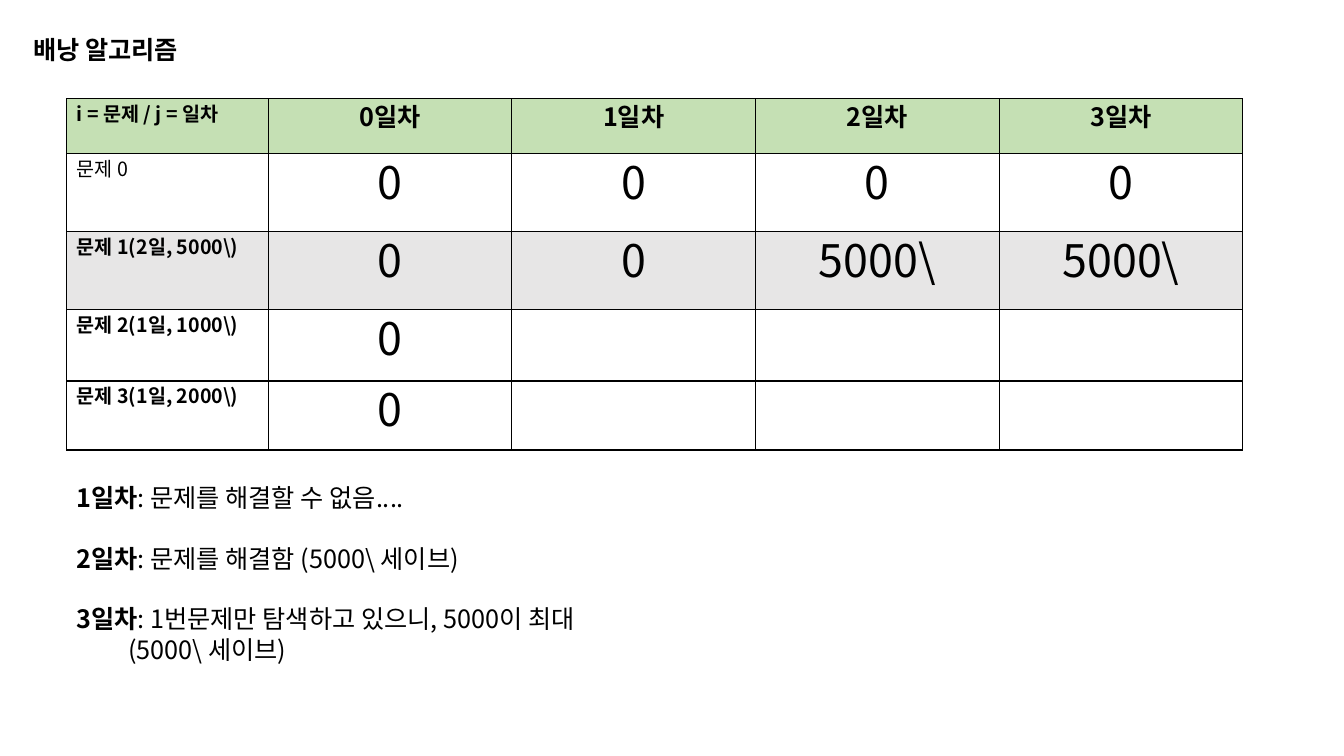
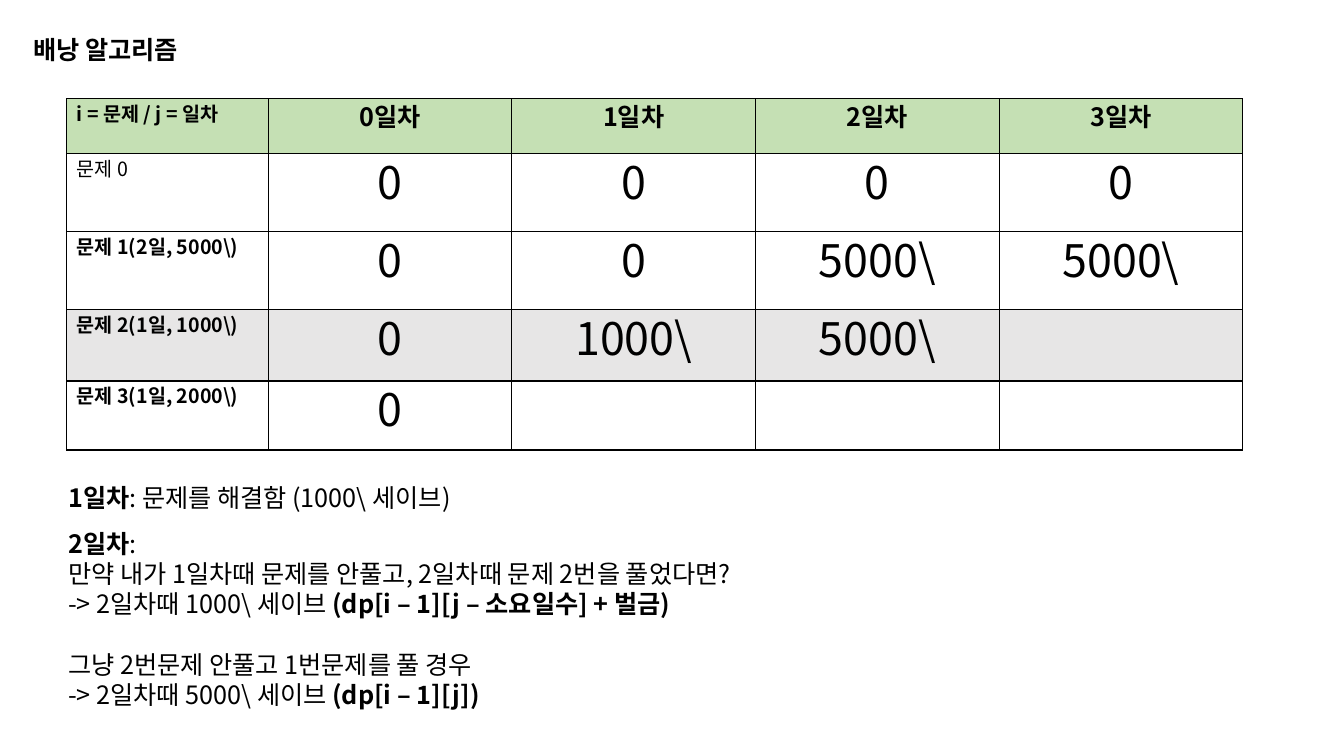
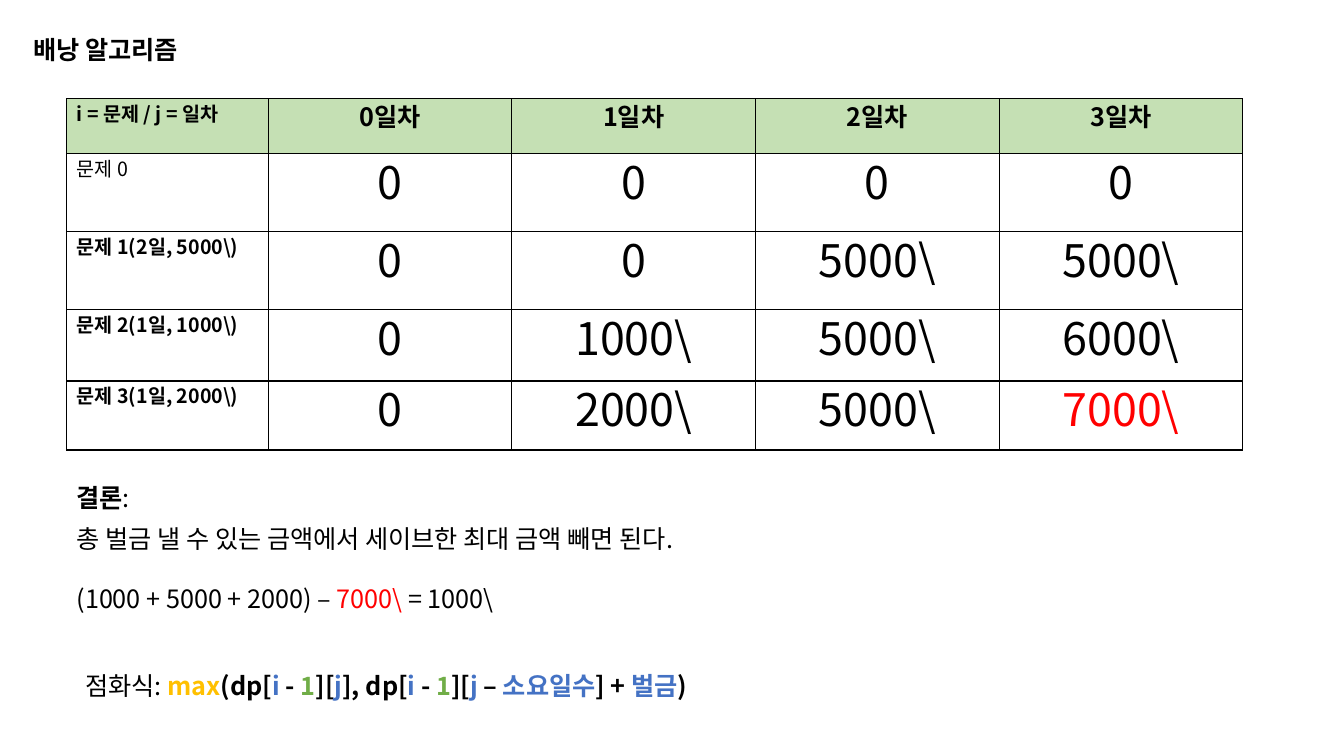
"""Build three slides that fill in a knapsack table step by step."""
from lxml import etree
from pptx import Presentation
from pptx.dml.color import RGBColor
from pptx.enum.text import MSO_ANCHOR, MSO_AUTO_SIZE, PP_ALIGN
from pptx.oxml.ns import qn
from pptx.util import Cm, Pt

LEFT, CENTER = PP_ALIGN.LEFT, PP_ALIGN.CENTER
TOP = MSO_ANCHOR.TOP
NOFIT = MSO_AUTO_SIZE.NONE

FACE = "Noto Sans CJK KR"
BLACK, WHITE, GREEN, GRAY = "000000", "FFFFFF", "C5E0B4", "E7E6E6"
RED, GOLD, BLUE, LEAF = "FF0000", "FFC000", "4472C4", "70AD47"
LINE = 1.2
GAP = 18 * LINE

TITLE = "배낭 알고리즘"
HEAD = ["i = 문제 / j = 일차", "0일차", "1일차", "2일차", "3일차"]
LABELS = ["문제 0", "문제 1(2일, 5000\\)", "문제 2(1일, 1000\\)", "문제 3(1일, 2000\\)"]
COLS = [5.08, 6.14, 6.14, 6.14, 6.14]
ROWS = [1.38, 1.97, 1.97, 1.79, 1.74]
ZEROS = ["0"] * 4
FIRST = ["0", "0", "5000\\", "5000\\"]
START = ["0", "", "", ""]


def bold(text, color=BLACK):
    """Return a bold run."""
    return text, True, color


def plain(text, color=BLACK):
    """Return a regular run."""
    return text, False, color


def para(*runs, gap=0, indent=0):
    """Return a paragraph with its space before and left indent."""
    return {"runs": runs, "gap": gap, "indent": indent}


SLIDES = [
    {
        "grid": [ZEROS, FIRST, START, START],
        "shade": 2,
        "notes": [
            ((1.68, 12.04, 10.77, 1.02), [
                para(bold("1일차"), plain(": 문제를 해결할 수 없음...."))]),
            ((1.68, 13.56, 11.68, 1.02), [
                para(bold("2일차"), plain(": 문제를 해결함 (5000\\ 세이브)"))]),
            ((1.68, 15.09, 14.53, 1.8), [
                para(bold("3일차"), plain(": 1번문제만 탐색하고 있으니, 5000이 최대")),
                para(plain("(5000\\ 세이브)"), indent=1.3)]),
        ],
    },
    {
        "grid": [ZEROS, FIRST, ["0", "1000\\", "5000\\", ""], START],
        "shade": 3,
        "notes": [
            ((1.47, 12.02, 11.89, 1.02), [
                para(bold("1일차"), plain(": 문제를 해결함 (1000\\ 세이브)"))]),
            ((1.47, 13.18, 20.98, 5.64), [
                para(bold("2일차"), plain(":")),
                para(plain("만약 내가 1일차때 문제를 안풀고, 2일차때 문제 2번을 풀었다면?")),
                para(plain("-> 2일차때 1000\\ 세이브 "),
                     bold("(dp[i – 1][j – 소요일수] + 벌금)")),
                para(plain("그냥 2번문제 안풀고 1번문제를 풀 경우"), gap=GAP),
                para(plain("-> 2일차때 5000\\ 세이브 "), bold("(dp[i – 1][j])"))]),
        ],
    },
    {
        "grid": [ZEROS, FIRST, ["0", "1000\\", "5000\\", "6000\\"],
                 ["0", "2000\\", "5000\\", "7000\\"]],
        "shade": None,
        "best": (4, 4),
        "notes": [
            ((1.68, 12.04, 10.77, 1.02), [para(bold("결론"), plain(":"))]),
            ((1.68, 13.06, 23.32, 2.57), [
                para(plain("총 벌금 낼 수 있는 금액에서 세이브한 최대 금액 빼면 된다.")),
                para(plain("(1000 + 5000 + 2000) – "), plain("7000\\ ", RED),
                     plain("= 1000\\"), gap=GAP)]),
            ((1.9, 16.76, 23.47, 1.02), [
                para(plain("점화식: "), bold("max", GOLD), bold("(dp["),
                     bold("i", BLUE), bold(" - "), bold("1", LEAF), bold("]["),
                     bold("j", BLUE), bold("], dp["), bold("i", BLUE),
                     bold(" - "), bold("1", LEAF), bold("]["), bold("j", BLUE),
                     bold(" – "), bold("소요일수", BLUE), bold("] + "),
                     bold("벌금", BLUE), bold(")"))]),
        ],
    },
]


def rgb(code):
    """Turn a hex string into a colour."""
    return RGBColor.from_string(code)


def write(frame, paras, size=18, align=LEFT):
    """Fill a text frame with formatted paragraphs."""
    for num, item in enumerate(paras):
        par = frame.add_paragraph() if num else frame.paragraphs[0]
        par.alignment = align
        par.line_spacing = Pt(size * LINE)
        par.space_before = Pt(item["gap"])
        props = par._p.get_or_add_pPr()
        if item["indent"]:
            props.set("marL", str(Cm(item["indent"])))
        runs = item["runs"]
        font = par.font
        font.size, font.name = Pt(size), FACE
        font.bold = runs[0][1]
        font.color.rgb = rgb(runs[0][2])
        east = etree.SubElement(props.find(qn("a:defRPr")), qn("a:ea"))
        east.set("typeface", FACE)
        for text, heavy, color in runs:
            run = par.add_run()
            run.text = text
            if heavy != runs[0][1]:
                run.font.bold = heavy
            if color != runs[0][2]:
                run.font.color.rgb = rgb(color)


def place(shape, box):
    """Set the position of a text shape and pin its text to the top."""
    shape.left, shape.top, shape.width, shape.height = map(Cm, box)
    frame = shape.text_frame
    frame.word_wrap = True
    frame.auto_size = NOFIT
    frame.vertical_anchor = TOP
    return frame


def border(cell):
    """Draw a thin black line on all four sides of a cell."""
    props = cell._tc.get_or_add_tcPr()
    for num, side in enumerate(("lnL", "lnR", "lnT", "lnB")):
        line = etree.Element(qn("a:" + side), w=str(Pt(1)))
        fill = etree.SubElement(line, qn("a:solidFill"))
        etree.SubElement(fill, qn("a:srgbClr"), val=BLACK)
        props.insert(num, line)


def draw(slide, data):
    """Add the knapsack table."""
    rows = [HEAD] + [[name] + vals for name, vals in zip(LABELS, data["grid"])]
    table = slide.shapes.add_table(
        len(ROWS), len(COLS), Cm(1.68), Cm(2.49), Cm(sum(COLS)), Cm(sum(ROWS))).table
    table.first_row = table.horz_banding = False
    for col, width in zip(table.columns, COLS):
        col.width = Cm(width)
    for y, (row, height) in enumerate(zip(rows, ROWS)):
        table.rows[y].height = Cm(height)
        back = GREEN if y == 0 else GRAY if y == data["shade"] else WHITE
        for x, text in enumerate(row):
            cell = table.cell(y, x)
            cell.fill.solid()
            cell.fill.fore_color.rgb = rgb(back)
            border(cell)
            if not text:
                continue
            size = 14 if x == 0 else 18 if y == 0 else 32
            heavy = y == 0 or (x == 0 and y > 1)
            color = RED if (y, x) == data.get("best") else BLACK
            write(cell.text_frame, [para((text, heavy, color))], size,
                  CENTER if x else LEFT)


def main():
    """Build and save the deck."""
    deck = Presentation()
    deck.slide_width, deck.slide_height = Cm(33.87), Cm(19.05)
    for data in SLIDES:
        slide = deck.slides.add_slide(deck.slide_layouts[5])
        write(place(slide.shapes.title, (0.58, 0.74, 4.78, 1.02)), [para(bold(TITLE))])
        draw(slide, data)
        for box, paras in data["notes"]:
            note = slide.shapes.add_textbox(*map(Cm, box))
            write(place(note, box), paras)
    deck.save("out.pptx")


if __name__ == "__main__":
    main()
